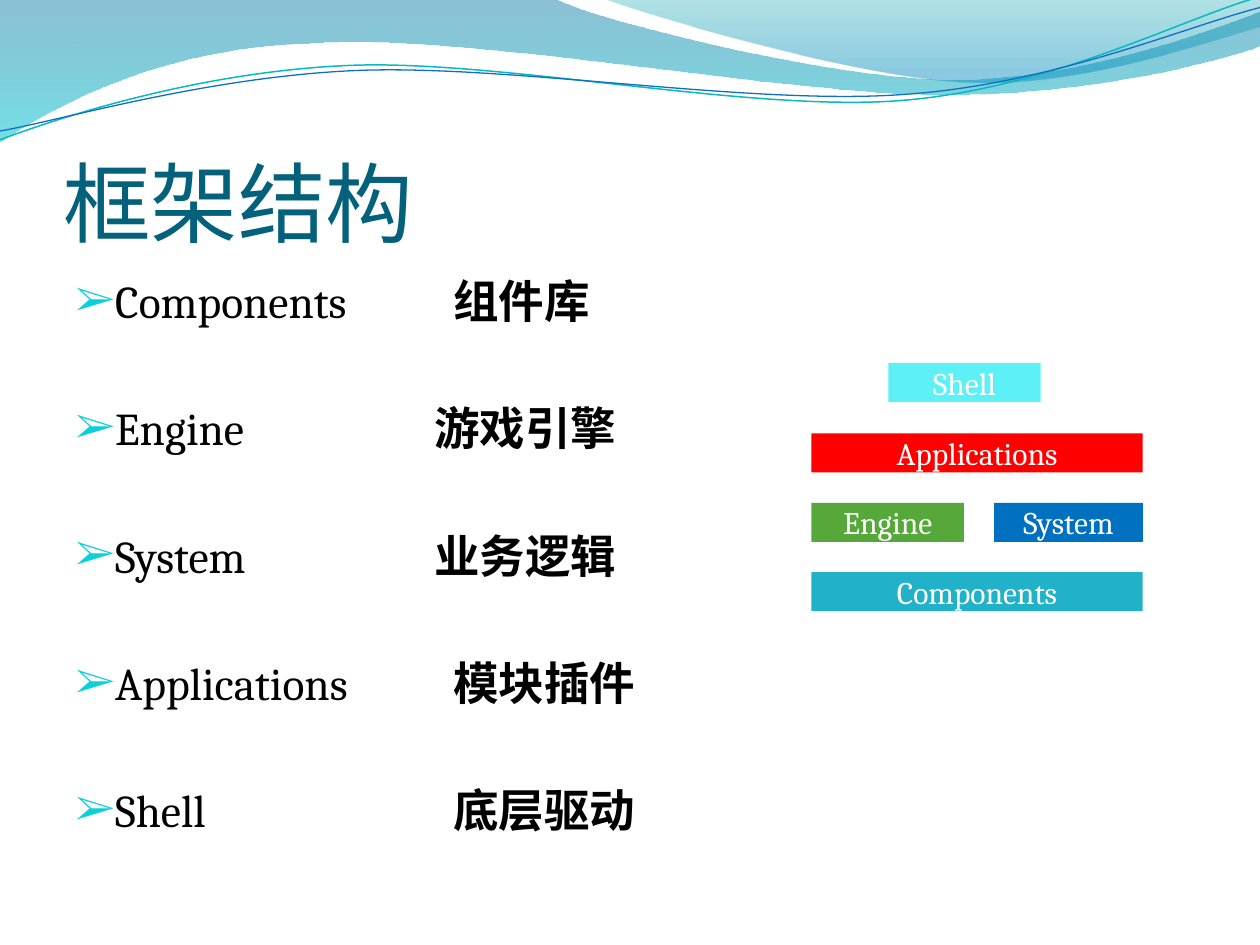
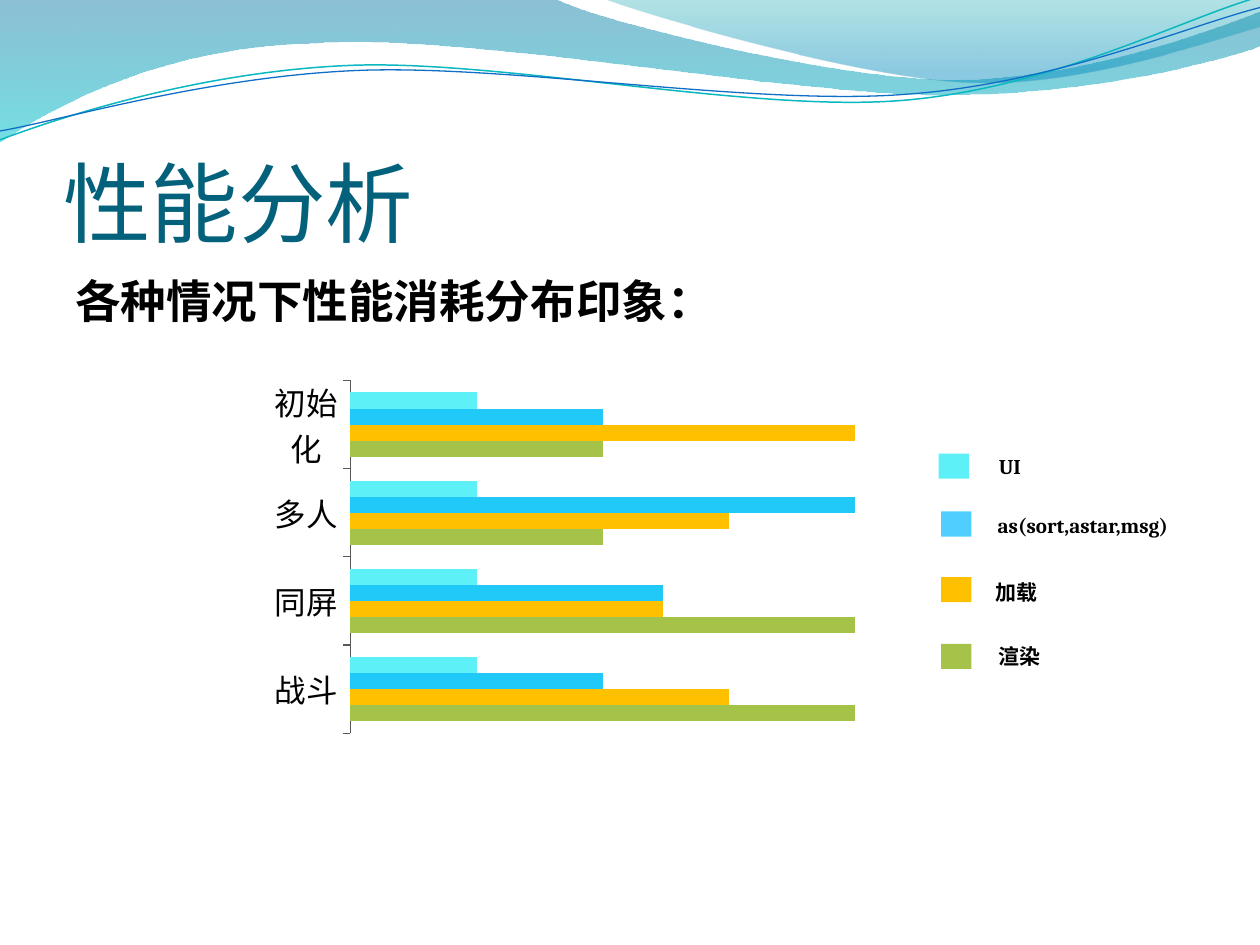
"""Build two slides on a game framework: its structure and its performance profile."""
from dataclasses import dataclass

from lxml.etree import SubElement
from pptx import Presentation
from pptx.chart.data import CategoryChartData
from pptx.dml.color import RGBColor
from pptx.enum.chart import XL_CHART_TYPE, XL_TICK_LABEL_POSITION, XL_TICK_MARK
from pptx.enum.shapes import MSO_SHAPE
from pptx.enum.text import MSO_ANCHOR, MSO_AUTO_SIZE, PP_ALIGN
from pptx.oxml import parse_xml
from pptx.oxml.ns import nsdecls, qn
from pptx.util import Inches, Pt


@dataclass(frozen=True)
class Theme:
    title_font: str = "Calibri"
    body_font: str = "Cambria"
    chinese_font: str = "Noto Sans CJK SC"
    title_size: int = 50
    body_size: int = 26
    block_size: int = 18
    legend_size: int = 12
    title: str = "04617B"
    text: str = "000000"
    white: str = "FFFFFF"
    bullet: str = "0BD0D9"
    axis: str = "595959"
    aqua: str = "5EF0F7"
    sky: str = "20C9F8"
    legend_sky: str = "4FCEFF"
    amber: str = "FFC000"
    olive: str = "A5C249"
    red: str = "FF0000"
    green: str = "55A839"
    blue: str = "0070C0"
    teal: str = "21B2C9"
    band_gradient: tuple = ((0, "0074A1", 45), (1, "00C6CF", 55))
    crest_gradient: tuple = ((0, "00A1A9", 30), (0.8, "008BBF", 45))
    upper_stroke: tuple = ("0AB8BF", 0.85)
    lower_stroke: tuple = ("0F6FC6", 0.75)


theme = Theme()


def add_run(paragraph, text, size, color=theme.text, bold=False, font=theme.body_font):
    run = paragraph.add_run()
    run.text = text
    run.font.name = font
    run.font.size = Pt(size)
    run.font.bold = bold
    run.font.color.rgb = RGBColor.from_string(color)
    SubElement(run._r.get_or_add_rPr(), qn("a:ea"), typeface=theme.chinese_font)


def add_block(slide, left, top, width, height, color):
    block = slide.shapes.add_shape(
        MSO_SHAPE.RECTANGLE, Inches(left), Inches(top), Inches(width), Inches(height))
    block.shadow.inherit = False
    block.fill.solid()
    block.fill.fore_color.rgb = RGBColor.from_string(color)
    block.line.fill.background()
    return block


presentation = Presentation()
presentation.slide_width = Inches(10)
presentation.slide_height = Inches(7.5)
layout = presentation.slide_layouts[5]

slides = []
bodies = []
for title_text in ("框架结构", "性能分析"):
    slide = presentation.slides.add_slide(layout)
    title = slide.shapes.title
    title.left, title.top = Inches(0.5), Inches(0.77)
    title.width, title.height = Inches(9), Inches(1.25)
    frame = title.text_frame
    frame.margin_left = frame.margin_right = frame.margin_bottom = 0
    frame.margin_top = Inches(0.05)
    frame.vertical_anchor = MSO_ANCHOR.BOTTOM
    frame.paragraphs[0].alignment = PP_ALIGN.LEFT
    add_run(frame.paragraphs[0], title_text, theme.title_size, theme.title,
            font=theme.title_font)
    body = slide.shapes.add_textbox(Inches(0.5), Inches(2.12), Inches(9), Inches(4.8))
    body.text_frame.word_wrap = True
    slides.append(slide)
    bodies.append(body.text_frame)
structure_slide, performance_slide = slides
structure_body, performance_body = bodies

waves = [
    ([[(0, 0)], [(4.4, -0.01)], [(4.76, 0.17), (6.64, 0.63), (7.58, 0.63)],
      [(8.53, 0.63), (9.58, 0.26), (10, 0.09)], [(10.01, 0.36)],
      [(9.83, 0.44), (8.7, 0.76), (7.46, 0.75)], [(6.22, 0.75), (3.82, 0.28), (2.57, 0.34)],
      [(1.29, 0.36), (0.46, 0.83), (-0.01, 1.13)]], theme.band_gradient, None),
    ([[(4.79, -0.01)], [(5.09, 0.11), (6.82, 0.62), (7.69, 0.65)],
      [(8.56, 0.69), (9.61, 0.32), (10, 0.21)], [(10, 0)]], theme.crest_gradient, None),
    ([[(0, 1.11)], [(0.48, 0.93), (1.58, 0.57), (2.77, 0.52)],
      [(3.95, 0.47), (5.93, 0.89), (7.13, 0.8)],
      [(8.33, 0.71), (9.38, 0.15), (9.98, -0.02)]], None, theme.upper_stroke),
    ([[(0, 1.04)], [(0.47, 0.96), (1.64, 0.61), (2.83, 0.56)],
      [(4.03, 0.51), (5.97, 0.84), (7.17, 0.75)],
      [(8.36, 0.67), (9.41, 0.21), (10, 0.06)]], None, theme.lower_stroke),
]
for position, (segments, gradient, stroke) in enumerate(waves):
    outline = [(Inches(x), Inches(y)) for segment in segments for x, y in segment]
    builder = structure_slide.shapes.build_freeform(*outline[0])
    builder.add_line_segments(outline[1:], close=gradient is not None)
    wave = builder.convert_to_shape()
    straight_lines = iter(list(wave.element.iter(qn("a:lnTo"))))
    for segment in segments[1:]:
        curve = next(straight_lines)
        if len(segment) == 3:
            for _ in range(2):
                control_line = next(straight_lines)
                curve.append(control_line[0])
                control_line.getparent().remove(control_line)
            curve.tag = qn("a:cubicBezTo")
    wave.shadow.inherit = False
    if gradient:
        wave.line.fill.background()
        wave.fill.gradient()
        wave.fill.gradient_angle = 270
        for stop, (offset, color, _) in zip(wave.fill.gradient_stops, gradient):
            stop.position = offset
            stop.color.rgb = RGBColor.from_string(color)
        for color_element, (_, _, opacity) in zip(
                wave.element.spPr.iter(qn("a:srgbClr")), gradient):
            SubElement(color_element, qn("a:alpha"), val=str(opacity * 1000))
    else:
        wave.fill.background()
        wave.line.color.rgb = RGBColor.from_string(stroke[0])
        wave.line.width = Pt(stroke[1])
    layout.shapes.element.insert(2 + position, wave.element)

modules = [
    ("Components", "组件库", 3),
    ("Engine", "游戏引擎", 2.85),
    ("System", "业务逻辑", 2.85),
    ("Applications", "模块插件", 3),
    ("Shell", "底层驱动", 3),
]
for index, (name, meaning, tab_position) in enumerate(modules):
    paragraph = structure_body.paragraphs[0] if index == 0 else structure_body.add_paragraph()
    paragraph.space_before = Pt(41.5 if index else 0)
    properties = paragraph._p.get_or_add_pPr()
    properties.set("marL", str(Inches(0.3)))
    properties.set("indent", str(-Inches(0.3)))
    for markup in (
        f'<a:buClr {nsdecls("a")}><a:srgbClr val="{theme.bullet}"/></a:buClr>',
        f'<a:buSzPct {nsdecls("a")} val="95000"/>',
        f'<a:buFont {nsdecls("a")} typeface="{theme.body_font}"/>',
        f'<a:buChar {nsdecls("a")} char="➢"/>',
        f'<a:tabLst {nsdecls("a")}><a:tab pos="{Inches(tab_position)}" algn="l"/></a:tabLst>',
    ):
        properties.append(parse_xml(markup))
    add_run(paragraph, f"{name}\t", theme.body_size)
    add_run(paragraph, meaning, theme.body_size, bold=True)

layers = [
    ("Components", 6.44, 4.54, 2.63, theme.teal),
    ("Engine", 6.44, 3.99, 1.21, theme.green),
    ("System", 7.89, 3.99, 1.18, theme.blue),
    ("Applications", 6.44, 3.44, 2.63, theme.red),
    ("Shell", 7.05, 2.88, 1.21, theme.aqua),
]
for name, left, top, width, color in layers:
    block = add_block(structure_slide, left, top, width, 0.31, color)
    block.text_frame.vertical_anchor = MSO_ANCHOR.MIDDLE
    block.text_frame.paragraphs[0].alignment = PP_ALIGN.CENTER
    add_run(block.text_frame.paragraphs[0], name, theme.block_size, theme.white)

add_run(performance_body.paragraphs[0], "各种情况下性能消耗分布印象：", theme.body_size, bold=True)

chart_data = CategoryChartData()
chart_data.categories = ["战斗", "同屏", "多人", "初始化"]
costs = [
    ("Series 1", (100, 100, 50, 50), theme.olive),
    ("Series 2", (75, 62, 75, 100), theme.amber),
    ("Series 3", (50, 62, 100, 50), theme.sky),
    ("Series 4", (25, 25, 25, 25), theme.aqua),
]
for name, values, _ in costs:
    chart_data.add_series(name, values)
chart_width, chart_height = 5.32, 2.93
chart = performance_slide.shapes.add_chart(
    XL_CHART_TYPE.BAR_CLUSTERED, Inches(2.07), Inches(2.95),
    Inches(chart_width), Inches(chart_height), chart_data).chart
chart.has_legend = False
chart.has_title = False
chart.font.name = theme.body_font
chart.font.size = Pt(theme.block_size)
chart.font.color.rgb = RGBColor.from_string(theme.text)
plot = chart.plots[0]
plot.gap_width = 150
plot.overlap = 0
plot.vary_by_categories = False
for series, (_, _, color) in zip(plot.series, costs):
    series.format.fill.solid()
    series.format.fill.fore_color.rgb = RGBColor.from_string(color)
chart.category_axis.major_tick_mark = XL_TICK_MARK.OUTSIDE
chart.category_axis.tick_label_position = XL_TICK_LABEL_POSITION.LOW
chart.category_axis.format.line.color.rgb = RGBColor.from_string(theme.axis)
chart.value_axis.minimum_scale = 0
chart.value_axis.maximum_scale = 100
chart.value_axis.has_major_gridlines = False
chart.value_axis.visible = False
plot_area = chart.element.find(f".//{qn('c:plotArea')}")
for old_layout in plot_area.findall(qn("c:layout")):
    plot_area.remove(old_layout)
plot_area.insert(0, parse_xml(
    f'<c:layout {nsdecls("c")}><c:manualLayout><c:layoutTarget val="inner"/>'
    '<c:xMode val="edge"/><c:yMode val="edge"/>'
    f'<c:x val="{0.71 / chart_width}"/><c:y val="{0.07 / chart_height}"/>'
    f'<c:w val="{4.01 / chart_width}"/><c:h val="{2.8 / chart_height}"/>'
    '</c:manualLayout></c:layout>'))

legend = [
    ("渲染", 7.47, 5.11, 7.83, 5.06, 0.54, theme.olive),
    ("加载", 7.47, 4.58, 7.8, 4.55, 0.54, theme.amber),
    ("as(sort,astar,msg)", 7.47, 4.06, 7.82, 4.02, 1.62, theme.legend_sky),
    ("UI", 7.45, 3.6, 7.83, 3.55, 0.4, theme.aqua),
]
for name, key_left, key_top, label_left, label_top, label_width, color in legend:
    add_block(performance_slide, key_left, key_top, 0.24, 0.2, color)
    label = performance_slide.shapes.add_textbox(
        Inches(label_left), Inches(label_top), Inches(label_width), Inches(0.3))
    label.text_frame.word_wrap = False
    label.text_frame.auto_size = MSO_AUTO_SIZE.SHAPE_TO_FIT_TEXT
    add_run(label.text_frame.paragraphs[0], name, theme.legend_size, bold=True)

presentation.save("out.pptx")
